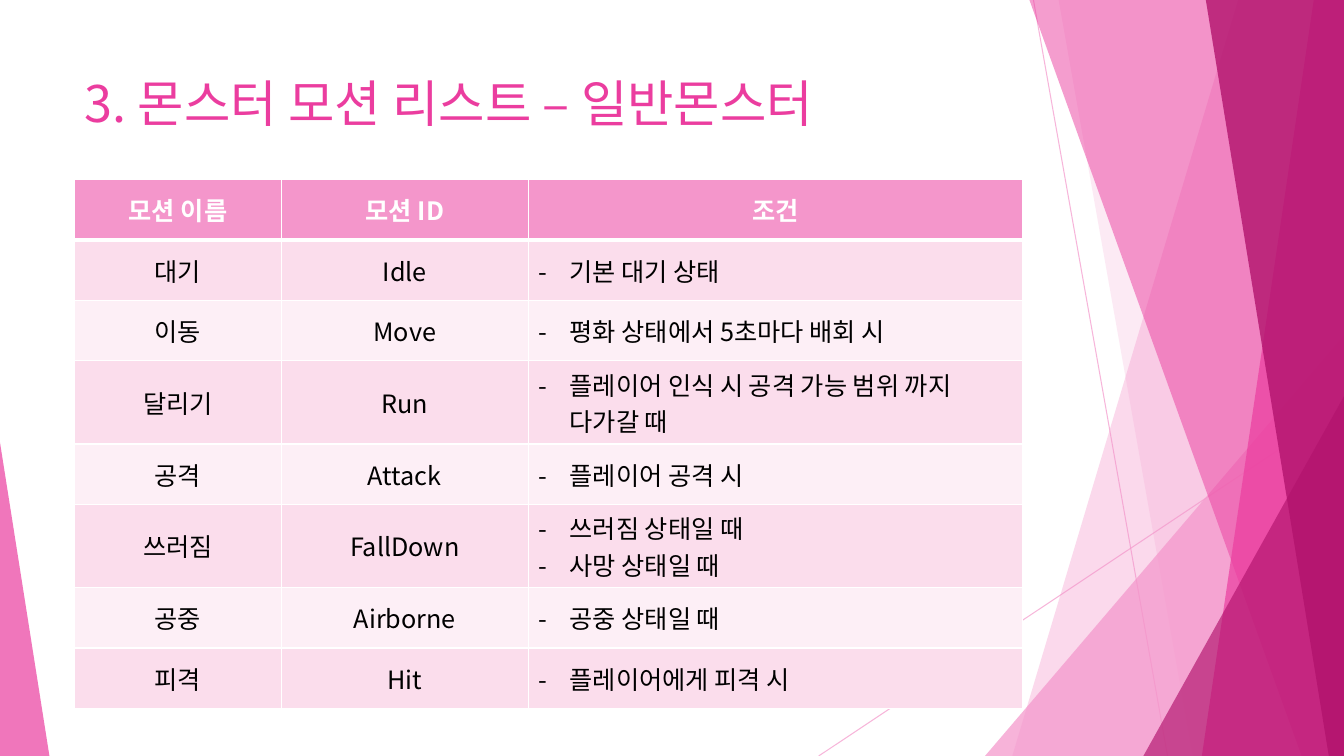
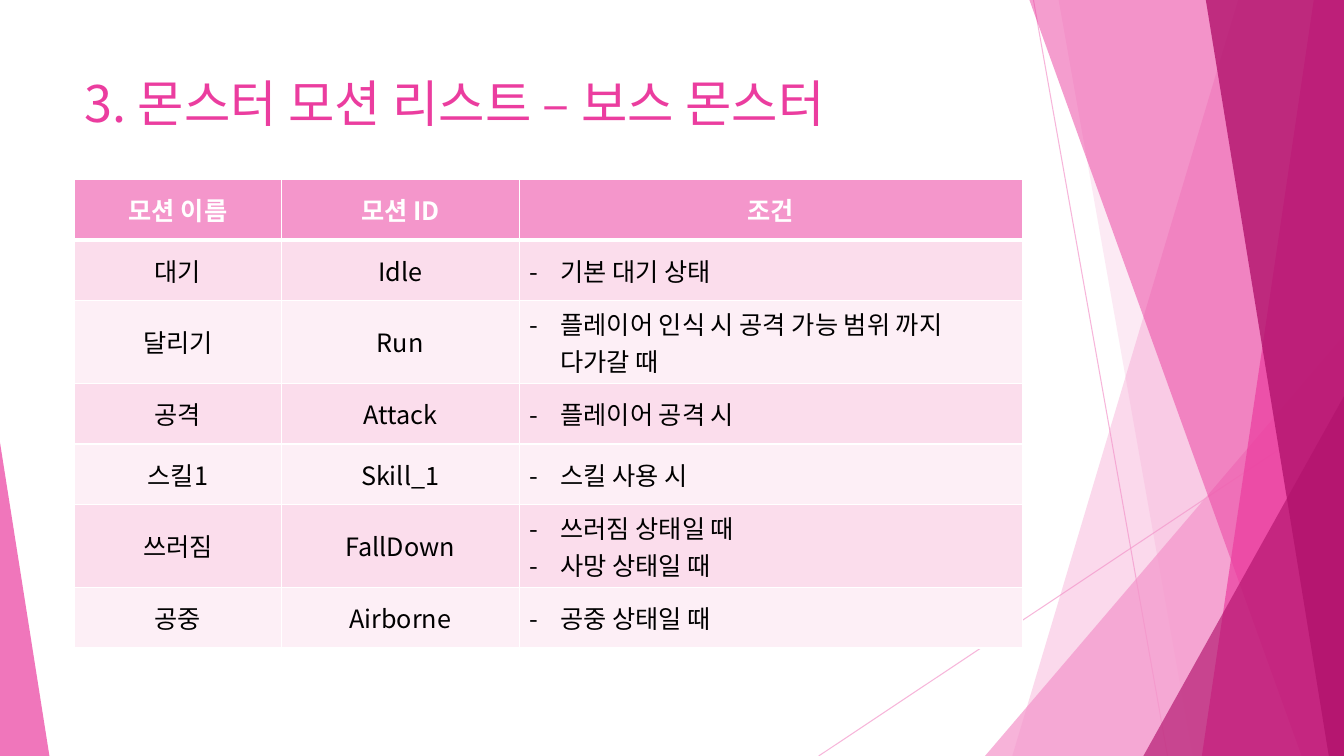
import dataclasses
import typing

import pptx
import pptx.dml.color
import pptx.enum.shapes
import pptx.enum.text
import pptx.oxml.ns
import pptx.oxml.xmlchemy
import pptx.util

Inches = pptx.util.Inches
Pt = pptx.util.Pt

FONT = "Noto Sans CJK KR"
PINK, ROSE, WINE = "F496CB", "EB3D9F", "B2136D"
BANDS = ("FBDDEC", "FDEFF6")
WHITE, BLACK = "FFFFFF", "000000"
WIDE, HIGH = 13.33, 7.5
LEFT, SPAN = 0.74, 9.4
ROW = 0.6
HANG = 0.31
HEADS = ("모션 이름", "모션 ID", "조건")


@dataclasses.dataclass
class Ray:
    """Thin line behind the bands."""
    start: tuple[float, float]
    end: tuple[float, float]


@dataclasses.dataclass
class Band:
    """Full-height band from a slanted edge to the right side."""
    top: float
    foot: float
    hue: str
    alpha: int


@dataclasses.dataclass
class Wedge:
    """Right triangle standing on the bottom edge."""
    left: float
    top: float
    width: float
    tip: int
    hue: str
    alpha: int


@dataclasses.dataclass
class Motion:
    name: str
    code: str
    rules: tuple[str, ...]


@dataclasses.dataclass
class Page:
    title: str
    cols: tuple[float, float, float]
    moves: tuple[Motion, ...]


# Shared decoration, back to front
DECOR = (
    Ray((10.25, 0), (11.58, HIGH)),
    Ray((WIDE, 4.03), (8.12, HIGH)),
    Band(12.28, 10.04, PINK, 36),
    Band(10.5, 11.83, PINK, 20),
    Wedge(9.77, 3.33, 3.56, 1, PINK, 72),
    Band(10.21, 12.91, ROSE, 50),
    Band(13.03, 11.92, ROSE, 70),
    Band(11.96, 13.18, WINE, 80),
    Wedge(11.34, 3.93, 1.99, 1, WINE, 66),
    Wedge(0, 4.39, 0.49, 0, ROSE, 70),
)

# Motions found in both lists
IDLE = Motion("대기", "Idle", ("기본 대기 상태",))
RUN = Motion("달리기", "Run", ("플레이어 인식 시 공격 가능 범위 까지 다가갈 때",))
ATTACK = Motion("공격", "Attack", ("플레이어 공격 시",))
FALL = Motion("쓰러짐", "FallDown", ("쓰러짐 상태일 때", "사망 상태일 때"))
AIR = Motion("공중", "Airborne", ("공중 상태일 때",))

PAGES = (
    Page("3. 몬스터 모션 리스트 – 일반몬스터", (2.05, 2.45, 4.9), (
        IDLE,
        Motion("이동", "Move", ("평화 상태에서 5초마다 배회 시",)),
        RUN, ATTACK, FALL, AIR,
        Motion("피격", "Hit", ("플레이어에게 피격 시",)),
    )),
    Page("3. 몬스터 모션 리스트 – 보스 몬스터", (2.05, 2.36, 4.99), (
        IDLE, RUN, ATTACK,
        Motion("스킬1", "Skill_1", ("스킬 사용 시",)),
        FALL, AIR,
    )),
)


def paint(fill: typing.Any, hue: str) -> None:
    fill.solid()
    fill.fore_color.rgb = pptx.dml.color.RGBColor.from_string(hue)


def add_tag(node: typing.Any, tag: str, **attrs: str) -> typing.Any:
    child = node.makeelement(pptx.oxml.ns.qn(tag), attrs)
    node.append(child)
    return child


def fade(shape: typing.Any, alpha: int) -> None:
    for hue in shape.element.xpath(".//a:solidFill/a:srgbClr"):
        add_tag(hue, "a:alpha", val=str(alpha * 1000))


def add_run(para: typing.Any, text: str, size: int, hue: str, bold: bool = False) -> None:
    run = para.add_run()
    run.text = text
    run.font.size = Pt(size)
    run.font.bold = bold
    run.font.name = FONT
    paint(run.font.fill, hue)
    add_tag(run.font._element, "a:ea", typeface=FONT)


def draw_ray(shapes: typing.Any, ray: Ray) -> typing.Any:
    kind = pptx.enum.shapes.MSO_CONNECTOR.STRAIGHT
    ends = [Inches(n) for n in ray.start + ray.end]
    line = shapes.add_connector(kind, *ends)
    paint(line.line.fill, PINK)
    line.line.width = Pt(0.75)
    add_tag(line.element.spPr, "a:effectLst")
    fade(line, 70)
    return line


def draw_fill(shape: typing.Any, hue: str, alpha: int) -> typing.Any:
    shape.shadow.inherit = False
    paint(shape.fill, hue)
    shape.line.fill.background()
    fade(shape, alpha)
    return shape


def draw_band(shapes: typing.Any, band: Band) -> typing.Any:
    pen = shapes.build_freeform(Inches(band.top), 0)
    spots = ((WIDE, 0), (WIDE, HIGH), (band.foot, HIGH))
    pen.add_line_segments([(Inches(x), Inches(y)) for x, y in spots])
    return draw_fill(pen.convert_to_shape(), band.hue, band.alpha)


def draw_wedge(shapes: typing.Any, wedge: Wedge) -> typing.Any:
    kind = pptx.enum.shapes.MSO_SHAPE.ISOSCELES_TRIANGLE
    shape = shapes.add_shape(kind, Inches(wedge.left), Inches(wedge.top),
                             Inches(wedge.width), Inches(HIGH - wedge.top))
    shape.adjustments[0] = wedge.tip
    return draw_fill(shape, wedge.hue, wedge.alpha)


def set_decor(layout: typing.Any, slide: typing.Any) -> None:
    """Draw the decoration on a slide and hand it to the layout."""
    tools = {Ray: draw_ray, Band: draw_band, Wedge: draw_wedge}
    for num, part in enumerate(DECOR, 100):
        shape = tools[type(part)](slide.shapes, part)
        shape.element.xpath("./*/p:cNvPr")[0].set("id", str(num))
        layout.shapes.element.append(shape.element)


def set_title(slide: typing.Any, text: str) -> None:
    frame = slide.shapes.title.text_frame
    frame.auto_size = pptx.enum.text.MSO_AUTO_SIZE.NONE
    frame.word_wrap = True
    frame.vertical_anchor = pptx.enum.text.MSO_ANCHOR.TOP
    para = frame.paragraphs[0]
    para.alignment = pptx.enum.text.PP_ALIGN.LEFT
    add_run(para, text, 36, ROSE)


def set_edges(cell: typing.Any, top: int, foot: int) -> None:
    props = cell._tc.get_or_add_tcPr()
    for tag, width in (("L", 1), ("R", 1), ("T", top), ("B", foot)):
        edge = add_tag(props, "a:ln" + tag, w=str(Pt(width)))
        fill = add_tag(edge, "a:solidFill")
        add_tag(fill, "a:srgbClr", val=WHITE)


def set_cell(cell: typing.Any, lines: tuple[str, ...], row: int, dash: bool) -> None:
    head = row == 0
    set_edges(cell, 3 if row == 1 else 1, 3 if head else 1)
    paint(cell.fill, PINK if head else BANDS[(row - 1) % 2])
    cell.vertical_anchor = pptx.enum.text.MSO_ANCHOR.MIDDLE
    frame = cell.text_frame
    for num, line in enumerate(lines):
        para = frame.add_paragraph() if num else frame.paragraphs[0]
        if dash:
            props = para._p.get_or_add_pPr()
            props.set("marL", str(Inches(HANG)))
            props.set("indent", str(-Inches(HANG)))
            add_tag(props, "a:buFont", typeface=FONT)
            add_tag(props, "a:buChar", char="-")
        else:
            para.alignment = pptx.enum.text.PP_ALIGN.CENTER
        add_run(para, line, 18, WHITE if head else BLACK, head)


def add_list(slide: typing.Any, page: Page) -> None:
    rows = [tuple((head,) for head in HEADS)]
    rows += [((m.name,), (m.code,), m.rules) for m in page.moves]
    table = slide.shapes.add_table(
        len(rows), len(HEADS), Inches(LEFT), Inches(1.78),
        Inches(SPAN), Inches(ROW * len(rows))).table
    for col, width in zip(table.columns, page.cols):
        col.width = Inches(width)
    for y, row in enumerate(rows):
        table.rows[y].height = Inches(ROW)
        for x, lines in enumerate(row):
            set_cell(table.cell(y, x), lines, y, y > 0 and x == 2)


def main() -> None:
    deck = pptx.Presentation()
    deck.slide_width, deck.slide_height = Inches(WIDE), Inches(HIGH)
    layout = deck.slide_layouts[5]

    # Title place, shared through the layout
    title = layout.placeholders[0]
    title.left, title.top = Inches(LEFT), Inches(0.67)
    title.width, title.height = Inches(SPAN), Inches(0.84)

    slides = [deck.slides.add_slide(layout) for _ in PAGES]
    set_decor(layout, slides[0])
    for slide, page in zip(slides, PAGES):
        set_title(slide, page.title)
        add_list(slide, page)
    deck.save("out.pptx")


if __name__ == "__main__":
    main()
